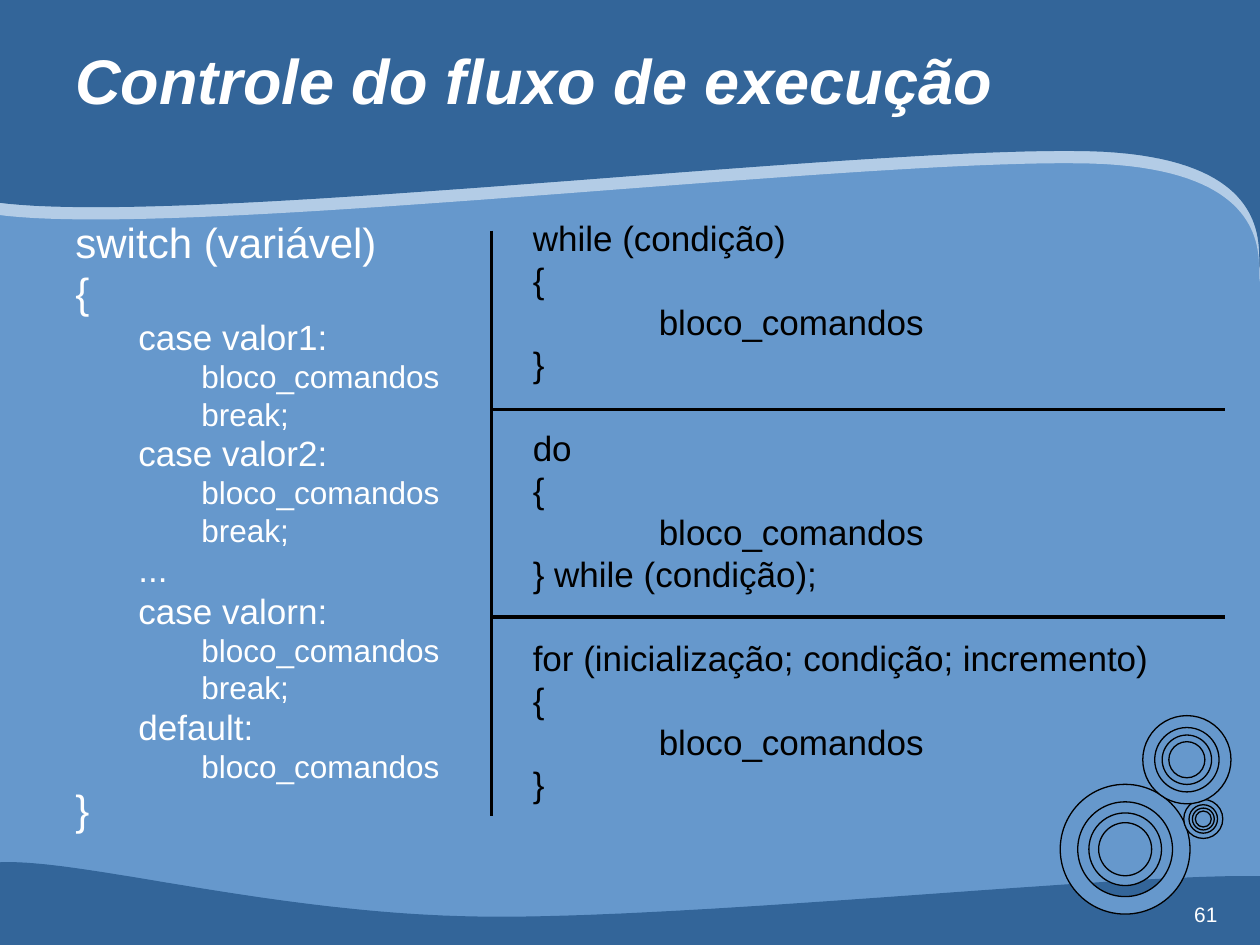
from lxml.etree import SubElement as Sub
from pptx import Presentation
from pptx.dml.color import RGBColor as RGB
from pptx.enum.shapes import MSO_CONNECTOR as Link, MSO_SHAPE as Kind
from pptx.enum.text import MSO_ANCHOR as Anchor, PP_ALIGN as Align
from pptx.oxml.ns import qn
from pptx.util import Inches, Pt

WIDE, HIGH = 10, 7.5
FONT = "Arial"
HEX = {"sky": "6698CC", "deep": "336599", "pale": "B3CCE6",
       "ink": "000000", "white": "FFFFFF"}

TITLE = "Controle do fluxo de execução"
PAGE = "61"
CASE = [(2, "bloco_comandos"), (2, "break;")]
SWITCH = [
    (0, "switch (variável)"), (0, "{"),
    (1, "case valor1:"), *CASE,
    (1, "case valor2:"), *CASE,
    (1, "..."),
    (1, "case valorn:"), *CASE,
    (1, "default:"), CASE[0],
    (0, "}"),
]
LOOPS = [
    ("while (condição)", "}"),
    ("do", "} while (condição);"),
    ("for (inicialização; condição; incremento)", "}"),
]
# Per level: size, space before, left margin, first-line indent
LEVELS = [(24, 5, 0.37, -0.37), (20, 4.5, 0.81, -0.31), (18, 4, 1.25, -0.25)]

# Each wave is a list of points (lines) and point triples (curves)
FOOT = [(10, 7.51), (-0.01, 7.53), (-0.02, 6.85),
        ((0.62, 6.81), (2.16, 7.26), (3.83, 7.28)),
        ((5.5, 7.3), (8.98, 6.93), (10.01, 6.96))]
HEAD = [(-0.03, -0.04), (10.06, -0.05), (10.06, 2.12),
        ((9.84, 2.33), (10.44, 1.29), (8.76, 1.2)),
        ((7.08, 1.12), (1.43, 1.81), (-0.04, 1.6))]
# Centre and diameter of each set of rings
RINGS = [(8.93, 6.74, 1.03), (9.55, 6.5, 0.31), (9.42, 6.03, 0.7)]
INNER, BAND = 0.56, 0.135

AXIS, EDGE = 3.9, 9.72
RULES = [(AXIS, 1.83, AXIS, 6.48, 1.5),
         (AXIS, 3.25, EDGE, 3.25, 2.25),
         (AXIS, 4.9, EDGE, 4.9, 2.25)]


def tint(name):
    return RGB.from_string(HEX[name])


def paint(shape, fill, line):
    shape.shadow.inherit = False
    shape.fill.solid()
    shape.fill.fore_color.rgb = tint(fill)
    shape.line.color.rgb = tint(line)
    shape.line.width = Pt(0.75)


def curve(start, ctrl, steps=48):
    """Points along a cubic Bezier curve, without its start."""
    for i in range(1, steps + 1):
        t = i / steps
        u = 1 - t
        parts = (u**3, 3 * u * u * t, 3 * u * t * t, t**3)
        yield tuple(sum(k * p[axis] for k, p in zip(parts, (start, *ctrl)))
                    for axis in (0, 1))


def wave(slide, route):
    pts = [route[0]]
    for step in route[1:]:
        pts.extend(curve(pts[-1], step) if len(step) == 3 else [step])
    # The builder rounds to whole units, so points go in as EMU
    first, *rest = [(Inches(x), Inches(y)) for x, y in pts]
    pen = slide.shapes.build_freeform(*first)
    pen.add_line_segments(rest, close=True)
    shape = pen.convert_to_shape()
    paint(shape, "deep", "deep")
    return shape


def shade(shape):
    """Drop a solid pale band straight below the shape."""
    fx = shape._element.spPr.find(qn("a:effectLst"))
    drop = Sub(fx, qn("a:outerShdw"), dist=str(Pt(7)), dir="5400000",
               algn="ctr", rotWithShape="0")
    Sub(drop, qn("a:srgbClr"), val=HEX["pale"])


def ring(slide, x, y, size):
    shape = slide.shapes.add_shape(
        Kind.DONUT, *map(Inches, (x - size / 2, y - size / 2, size, size)))
    shape.adjustments[0] = BAND
    paint(shape, "sky", "ink")


def rule(slide, x1, y1, x2, y2, width):
    line = slide.shapes.add_connector(
        Link.STRAIGHT, *map(Inches, (x1, y1, x2, y2)))
    line.line.color.rgb = tint("ink")
    line.line.width = Pt(width)
    Sub(line._element.spPr, qn("a:effectLst"))


def box(slide, area, lines):
    frame = slide.shapes.add_textbox(*map(Inches, area)).text_frame
    frame.word_wrap = True
    frame.text = "\n".join(lines)
    return frame


def style(para, size, color, bold=False):
    font = para.runs[0].font
    font.name, font.size = FONT, Pt(size)
    font.bold = font.italic = bold
    font.color.rgb = tint(color)


def inset(para, left, first=0):
    props = para._p.get_or_add_pPr()
    props.set("marL", str(Inches(left)))
    props.set("indent", str(Inches(first)))


def main():
    deck = Presentation()
    deck.slide_width, deck.slide_height = Inches(WIDE), Inches(HIGH)
    slide = deck.slides.add_slide(deck.slide_layouts[6])
    back = slide.background.fill
    back.solid()
    back.fore_color.rgb = tint("sky")

    wave(slide, FOOT)
    shade(wave(slide, HEAD))
    for x, y, size in RINGS:
        ring(slide, x, y, size)
        ring(slide, x, y, size * INNER)

    page = box(slide, (7.43, 7.11, 2.33, 0.31), [PAGE]).paragraphs[0]
    page.alignment = Align.RIGHT
    style(page, 11.9, "white")

    head = box(slide, (0.5, -0.03, 7.8, 1.92), [TITLE])
    head.vertical_anchor = Anchor.MIDDLE
    head.margin_bottom = Inches(0.65)
    style(head.paragraphs[0], 36, "white", bold=True)

    left = box(slide, (0.5, 1.75, 3.48, 5.31), [text for _, text in SWITCH])
    for i, (para, (level, _)) in enumerate(zip(left.paragraphs, SWITCH)):
        size, gap, margin, first = LEVELS[level]
        para.level = level
        para.line_spacing = 0.8
        para.space_before = Pt(gap if i else 0)
        inset(para, margin, first)
        style(para, size, "white")

    code = [line for top, end in LOOPS
            for line in (top, "{", "bloco_comandos", end)]
    right = box(slide, (4.13, 1.67, 5.28, 4.77), code)
    for i, para in enumerate(right.paragraphs):
        row = i % 4
        para.space_before = Pt(24 if i and row == 0 else 0)
        inset(para, 1 if row == 2 else 0)
        style(para, 20, "ink")

    for spot in RULES:
        rule(slide, *spot)
    deck.save("out.pptx")


if __name__ == "__main__":
    main()
